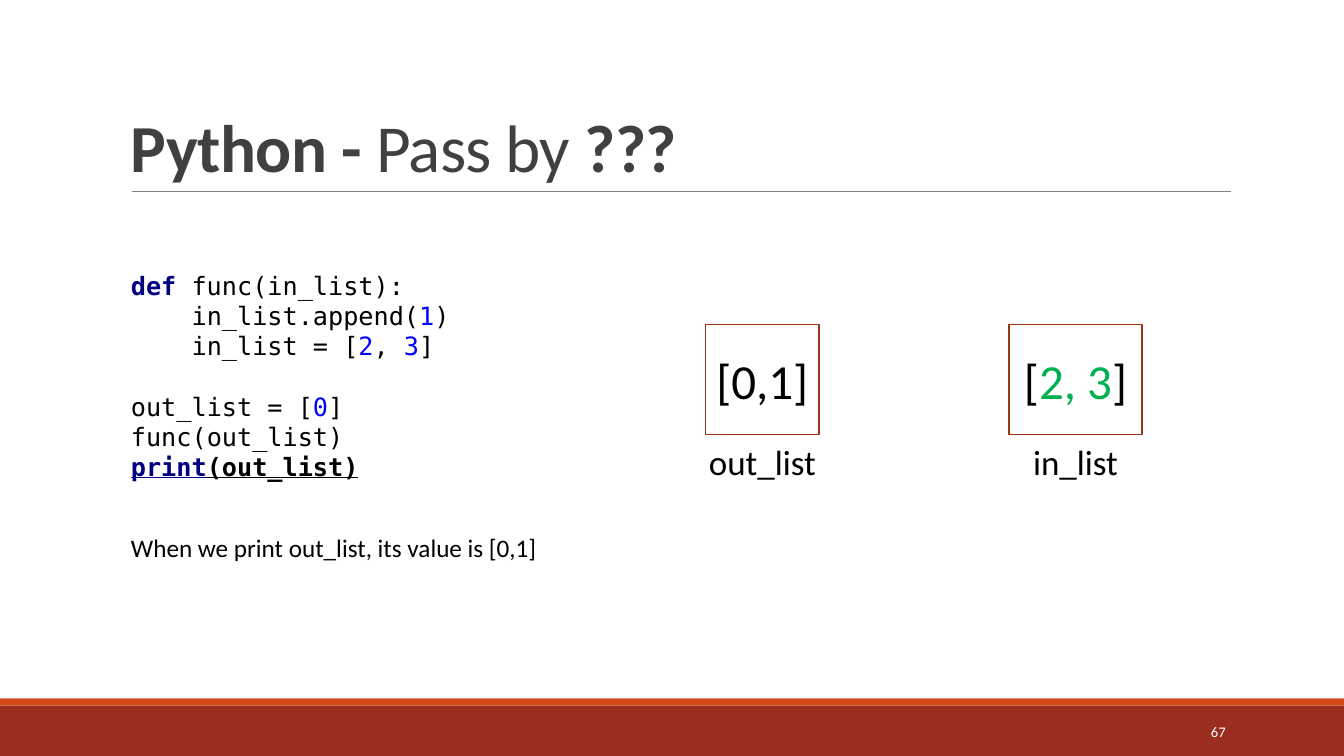
import pptx
import pptx.util
from lxml import etree
from pptx.dml.color import RGBColor
from pptx.enum.shapes import MSO_CONNECTOR, MSO_SHAPE
from pptx.enum.text import MSO_ANCHOR, PP_ALIGN
from pptx.oxml.ns import qn
from pptx.util import Cm, Pt

BLACK = RGBColor(0x00, 0x00, 0x00)
WHITE = RGBColor(0xFF, 0xFF, 0xFF)
TITLE_GREY = RGBColor(0x40, 0x40, 0x40)
RULE_GREY = RGBColor(0x80, 0x80, 0x80)
DARK_RED = RGBColor(0x9B, 0x2D, 0x1F)
ORANGE = RGBColor(0xD3, 0x48, 0x17)
BOX_RED = RGBColor(0x9C, 0x35, 0x11)
GREEN = RGBColor(0x00, 0xB0, 0x50)
KEYWORD = RGBColor(0x00, 0x00, 0x80)
NUMBER = RGBColor(0x00, 0x00, 0xFF)

SANS = "Calibri"
MONO = "DejaVu Sans Mono"
LEFT = 3.05

# Each code line is a list of (text, colour) runs.
CODE = [
    [("def ", KEYWORD), ("func(in_list):", BLACK)],
    [("    in_list.append(", BLACK), ("1", NUMBER), (")", BLACK)],
    [("    in_list = [", BLACK), ("2", NUMBER), (", ", BLACK),
     ("3", NUMBER), ("]", BLACK)],
    [],
    [("out_list = [", BLACK), ("0", NUMBER), ("]", BLACK)],
    [("func(out_list)", BLACK)],
    [("print", KEYWORD), ("(out_list)", BLACK)],
]


def add_run(p, text, size, color, bold=False, font=SANS):
    r = p.add_run()
    r.text = text
    r.font.name = font
    r.font.size = Pt(size)
    r.font.bold = bold
    r.font.color.rgb = color
    return r


def add_text(s, x, y, w, h, anchor=MSO_ANCHOR.TOP, align=PP_ALIGN.LEFT, wrap=True):
    """Add an empty text box and return its first paragraph."""
    tf = s.shapes.add_textbox(Cm(x), Cm(y), Cm(w), Cm(h)).text_frame
    tf.word_wrap = wrap
    tf.vertical_anchor = anchor
    p = tf.paragraphs[0]
    p.alignment = align
    return p


def add_rect(s, x, y, w, h, fill=None, line=None):
    sp = s.shapes.add_shape(MSO_SHAPE.RECTANGLE, Cm(x), Cm(y), Cm(w), Cm(h))
    sp.shadow.inherit = False
    if fill is None:
        sp.fill.background()
    else:
        sp.fill.solid()
        sp.fill.fore_color.rgb = fill
    if line is None:
        sp.line.fill.background()
    else:
        sp.line.color.rgb = line
        sp.line.width = Pt(1.25)
    return sp


def add_rule(s, x1, x2, y):
    line = s.shapes.add_connector(MSO_CONNECTOR.STRAIGHT, Cm(x1), Cm(y), Cm(x2), Cm(y))
    line.line.color.rgb = RULE_GREY
    line.line.width = Pt(0.5)
    etree.SubElement(line._element.spPr, qn("a:effectLst"))


def add_title(s):
    p = add_text(s, LEFT, 0.79, 27.94, 4.04, MSO_ANCHOR.BOTTOM)
    p.line_spacing = 0.85
    for text, bold in [("Python - ", True), ("Pass by ", False), ("???", True)]:
        r = add_run(p, text, 48, TITLE_GREY, bold)
        r._r.get_or_add_rPr().set("spc", "-50")


def add_code(s):
    """Add the listing; keywords are bold and the last line stands out."""
    p = add_text(s, LEFT, 6.65, 11.84, 5.64, MSO_ANCHOR.MIDDLE)
    for i, line in enumerate(CODE):
        if i:
            p.add_line_break()
        current = i == len(CODE) - 1
        for text, color in line:
            r = add_run(p, text, 18, color, current or color == KEYWORD, MONO)
            r.font.underline = current


def add_variable(s, name, x, w, label_w, runs):
    """Add a box holding a value, with the variable name centred below."""
    sp = add_rect(s, x, 8.18, w, 2.77, line=BOX_RED)
    tf = sp.text_frame
    tf.word_wrap = False
    tf.vertical_anchor = MSO_ANCHOR.MIDDLE
    p = tf.paragraphs[0]
    p.alignment = PP_ALIGN.CENTER
    for text, color in runs:
        add_run(p, text, 35, color)
    label = add_text(s, x + (w - label_w) / 2, 10.97, label_w, 1.32,
                     align=PP_ALIGN.CENTER, wrap=False)
    add_run(label, name, 25, BLACK)


def main():
    prs = pptx.Presentation()
    prs.slide_width, prs.slide_height = Cm(33.87), Cm(19.05)
    s = prs.slides.add_slide(prs.slide_layouts[6])

    add_rect(s, 0, 17.78, 33.87, 1.27, fill=DARK_RED)
    add_rect(s, 0, 17.6, 33.87, 0.18, fill=ORANGE)
    add_rule(s, 3.33, 31.01, 4.83)
    add_title(s)
    number = add_text(s, 27.51, 17.93, 3.63, 1.02, MSO_ANCHOR.MIDDLE, PP_ALIGN.RIGHT)
    add_run(number, "67", 10.5, WHITE)

    add_code(s)
    note = add_text(s, LEFT, 13.28, 28.09, 1.02)
    add_run(note, "When we print out_list, its value is [0,1]", 18, BLACK)

    add_variable(s, "out_list", 17.78, 2.87, 3.23, [("[0,1]", BLACK)])
    add_variable(s, "in_list", 25.43, 3.35, 2.67,
                 [("[", BLACK), ("2, 3", GREEN), ("]", BLACK)])
    prs.save("out.pptx")


if __name__ == "__main__":
    main()
